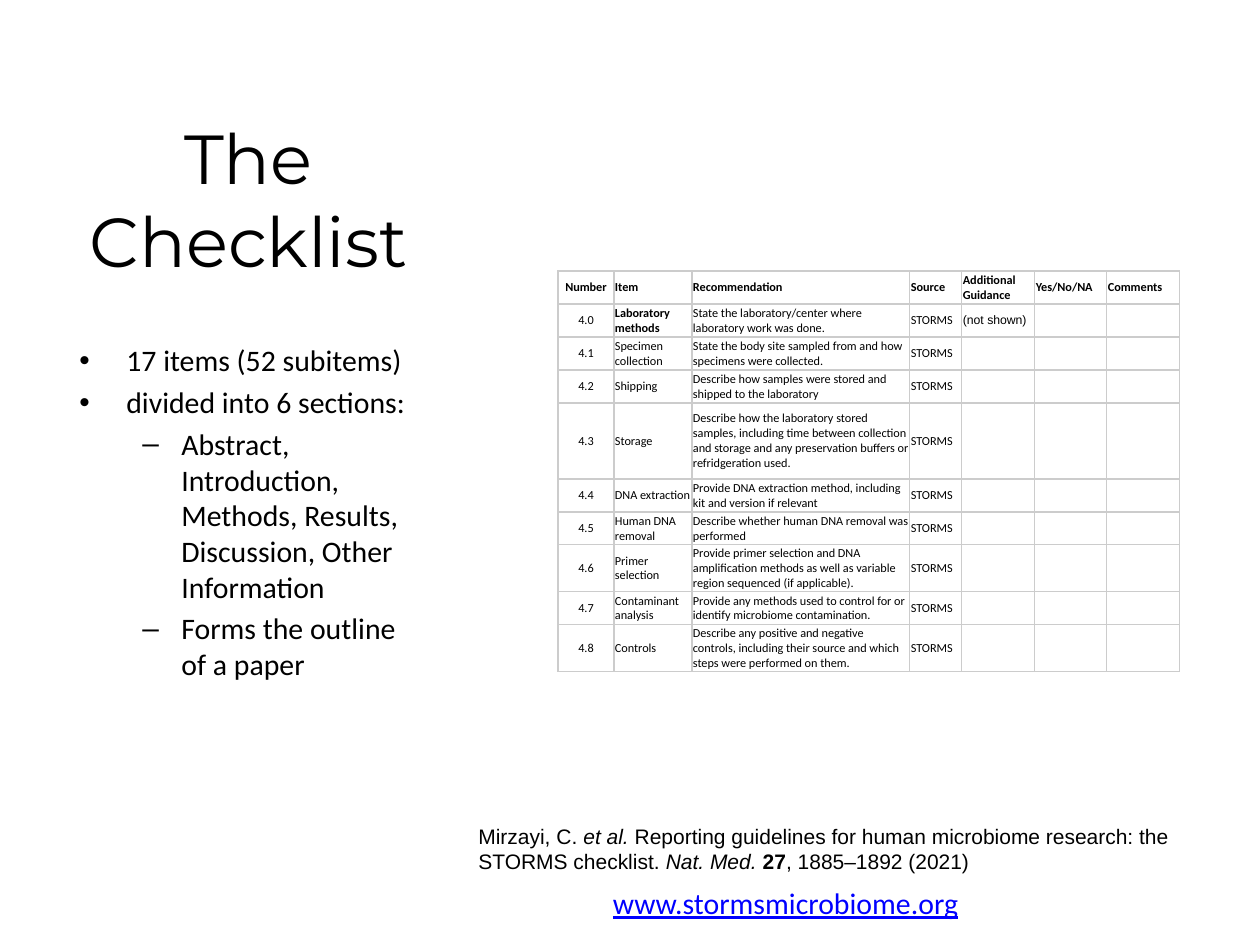
import pptx
import pptx.util
from lxml import etree
from pptx.dml.color import RGBColor
from pptx.enum.text import MSO_ANCHOR, PP_ALIGN
from pptx.oxml.ns import qn

PX = 914400 / 126  # EMU per px
COLS = [56, 78, 218, 52, 73, 72, 73]
ROWS = [33, 33, 33, 33, 76, 33, 33, 47, 33, 47]
HEADER = ["Number", "Item", "Recommendation", "Source",
          "Additional Guidance", "Yes/No/NA", "Comments"]
ITEMS = [
    ("Laboratory methods",
     "State the laboratory/center where laboratory work was done."),
    ("Specimen collection",
     "State the body site sampled from and how specimens were collected."),
    ("Shipping",
     "Describe how samples were stored and shipped to the laboratory"),
    ("Storage",
     "Describe how the laboratory stored samples, including time between "
     "collection and storage and any preservation buffers or refridgeration used."),
    ("DNA extraction",
     "Provide DNA extraction method, including kit and version if relevant"),
    ("Human DNA removal",
     "Describe whether human DNA removal was performed"),
    ("Primer selection",
     "Provide primer selection and DNA amplification methods as well as "
     "variable region sequenced (if applicable)."),
    ("Contaminant analysis",
     "Provide any methods used to control for or identify microbiome contamination."),
    ("Controls",
     "Describe any positive and negative controls, including their source "
     "and which steps were performed on them."),
]


def px(n):
    return pptx.util.Emu(round(n * PX))


def rgb(code):
    return RGBColor.from_string(code)


def add_text(p, text, size=17, font="Calibri", color="000000",
             bold=False, italic=False, underline=False):
    r = p.add_run()
    r.text = text
    f = r.font
    f.size, f.name, f.color.rgb = pptx.util.Pt(size), font, rgb(color)
    f.bold, f.italic, f.underline = bold, italic, underline


def place(sp, left, top, width, height):
    sp.left, sp.top, sp.width, sp.height = map(px, (left, top, width, height))


def add_box(s, *box):
    tf = s.shapes.add_textbox(*map(px, box)).text_frame
    tf.word_wrap = True
    return tf


def add_bullet(tf, text, level=0):
    first = not tf.paragraphs[0].runs
    p = tf.paragraphs[0] if first else tf.add_paragraph()
    p.level = level
    indent, hang, mark = [(47, 47, "•"), (102, 39, "–")][level]
    pPr = p._p.get_or_add_pPr()
    pPr.set("marL", str(px(indent)))
    pPr.set("indent", str(-px(hang)))
    etree.SubElement(pPr, qn("a:buFont"), typeface="Arial")
    etree.SubElement(pPr, qn("a:buChar"), char=mark)
    if not first:
        p.space_before = pptx.util.Pt(3.4)
    add_text(p, text)


def set_borders(cell, color="CCCCCC", width=9525):
    tcPr = cell._tc.get_or_add_tcPr()
    for i, side in enumerate(("lnL", "lnR", "lnT", "lnB")):
        ln = etree.Element(qn("a:" + side), w=str(width))
        fill = etree.SubElement(ln, qn("a:solidFill"))
        etree.SubElement(fill, qn("a:srgbClr"), val=color)
        tcPr.insert(i, ln)


def fill_cell(cell, text, center=False, **fmt):
    cell.fill.solid()
    cell.fill.fore_color.rgb = rgb("FFFFFF")
    set_borders(cell)
    cell.margin_left = cell.margin_right = px(1)
    cell.margin_top = cell.margin_bottom = px(1)
    cell.vertical_anchor = MSO_ANCHOR.MIDDLE
    p = cell.text_frame.paragraphs[0]
    if center:
        p.alignment = PP_ALIGN.CENTER
    if text:
        add_text(p, text, size=7, **fmt)
    else:  # keeps empty cells from stretching their row
        etree.SubElement(p._p, qn("a:endParaRPr"), sz="700")


def add_checklist(s, left, top):
    frame = s.shapes.add_table(len(ROWS), len(COLS), px(left), px(top),
                               px(sum(COLS)), px(sum(ROWS)))
    table = frame.table
    for col, width in zip(table.columns, COLS):
        col.width = px(width)
    for row, height in zip(table.rows, ROWS):
        row.height = px(height)
    data = [HEADER]
    for i, (item, advice) in enumerate(ITEMS):
        guidance = "(not shown)" if i == 0 else ""
        data.append([f"4.{i}", item, advice, "STORMS", guidance, "", ""])
    for i, values in enumerate(data):
        for j, value in enumerate(values):
            fill_cell(table.cell(i, j), value, center=j == 0,
                      bold=i == 0 or (i, j) == (1, 1),
                      font="Arial" if (i, j) == (1, 4) else "Calibri")


def main():
    prs = pptx.Presentation()
    prs.slide_width, prs.slide_height = px(1260), px(945)
    s = prs.slides.add_slide(prs.slide_layouts[5])

    # Title
    title = s.shapes.title
    place(title, 67, 87, 363, 223)
    title.text_frame.vertical_anchor = MSO_ANCHOR.MIDDLE
    p = title.text_frame.paragraphs[0]
    p.alignment = PP_ALIGN.CENTER
    add_text(p, "The Checklist", size=39.6, font="Montserrat")

    # Summary bullets
    tf = add_box(s, 67, 336, 363, 522)
    add_bullet(tf, "17 items (52 subitems)")
    add_bullet(tf, "divided into 6 sections:")
    add_bullet(tf, "Abstract, Introduction, Methods, Results, Discussion, "
                   "Other Information", level=1)
    add_bullet(tf, "Forms the outline of a paper", level=1)

    # Checklist excerpt
    add_checklist(s, 558, 271)

    # Web address
    p = add_box(s, 552, 883, 474, 52).paragraphs[0]
    p.alignment = PP_ALIGN.CENTER
    p.line_spacing = 0.9
    add_text(p, "www.stormsmicrobiome.org", color="0000FF", underline=True)
    add_text(p, " ")

    # Citation
    p = add_box(s, 466, 817, 794, 63).paragraphs[0]
    for text, fmt in [
        ("Mirzayi, C. ", {}),
        ("et al.", {"italic": True}),
        (" Reporting guidelines for human microbiome research: "
         "the STORMS checklist. ", {}),
        ("Nat. Med. ", {"italic": True}),
        ("27", {"bold": True}),
        (", 1885–1892 (2021)", {}),
    ]:
        add_text(p, text, size=12, font="Arial", **fmt)

    prs.save("out.pptx")


if __name__ == "__main__":
    main()
